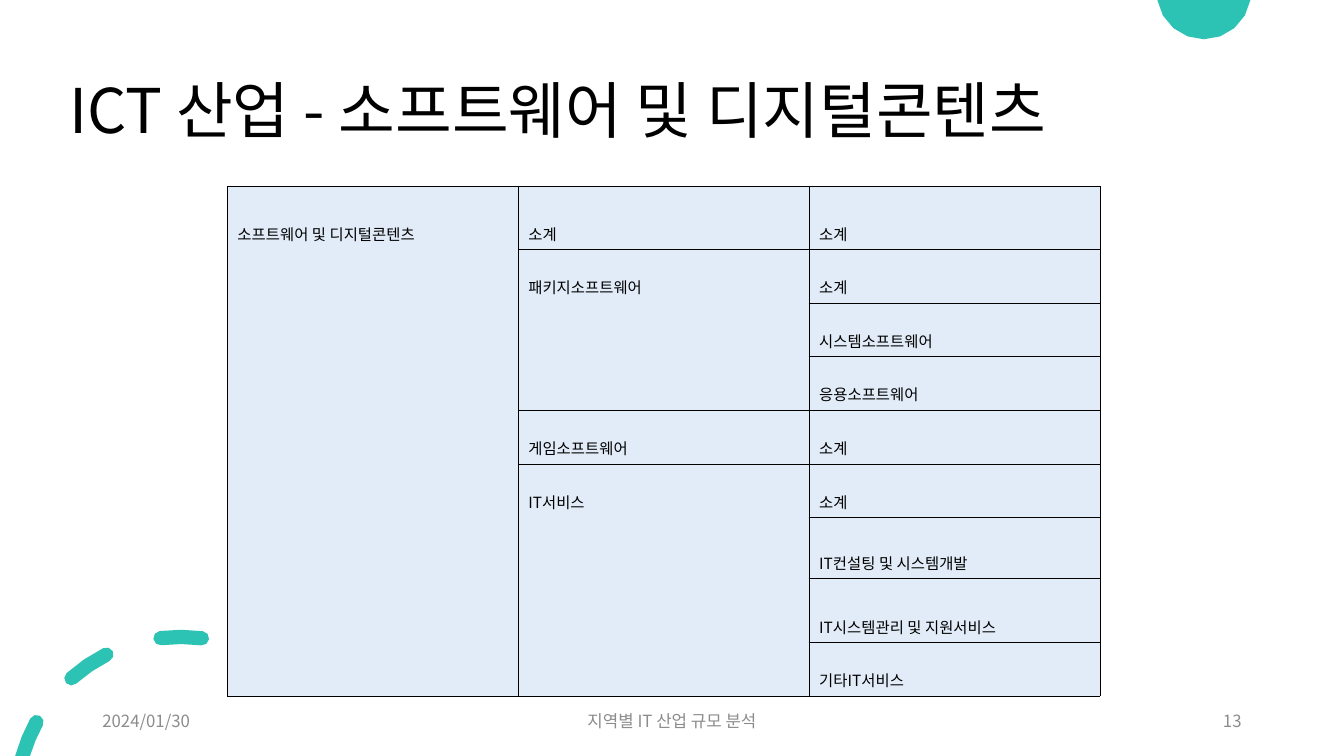
import math
from dataclasses import dataclass

import lxml.etree
import pptx
import pptx.dml.color
import pptx.enum.text
import pptx.oxml.ns
import pptx.util

Cm = pptx.util.Cm
ALIGN = pptx.enum.text.PP_ALIGN
ANCHOR = pptx.enum.text.MSO_ANCHOR
FONT = "Noto Sans CJK KR"
TEAL, BLACK, GRAY, PALE_BLUE = "2CC3B4", "000000", "8C8C8C", "E2ECF8"
SLIDE_WIDTH, SLIDE_HEIGHT = 33.87, 19.05
Point = tuple[float, float]


@dataclass
class Label:
    text: str
    left: float
    top: float
    width: float
    height: float
    size: int
    color: str
    align: ALIGN = ALIGN.LEFT
    spacing: float = 1.0


@dataclass
class Dash:
    start: float
    end: float


@dataclass
class Row:
    height: float
    cells: tuple[str, str, str]


LABELS = [
    Label("ICT 산업 - 소프트웨어 및 디지털콘텐츠", 1.5, 1.02, 29.21, 3.68, 44, BLACK, spacing=0.9),
    Label("2024/01/30", 2.33, 17.65, 7.62, 1.01, 12, GRAY),
    Label("지역별 IT 산업 규모 분석", 11.22, 17.65, 11.43, 1.01, 12, GRAY, ALIGN.CENTER),
    Label("13", 23.92, 17.65, 7.62, 1.01, 12, GRAY, ALIGN.RIGHT),
]
DASHES = [Dash(0, 28.8), Dash(48.4, 63.2), Dash(83, 97.5)]
ROWS = [
    Row(1.59, ("소프트웨어 및 디지털콘텐츠", "소계", "소계")),
    Row(1.35, ("", "패키지소프트웨어", "소계")),
    Row(1.35, ("", "", "시스템소프트웨어")),
    Row(1.35, ("", "", "응용소프트웨어")),
    Row(1.35, ("", "게임소프트웨어", "소계")),
    Row(1.35, ("", "IT서비스", "소계")),
    Row(1.54, ("", "", "IT컨설팅 및 시스템개발")),
    Row(1.61, ("", "", "IT시스템관리 및 지원서비스")),
    Row(1.35, ("", "", "기타IT서비스")),
]


def rgb(color: str) -> pptx.dml.color.RGBColor:
    return pptx.dml.color.RGBColor.from_string(color)


def write_text(frame, text: str, *, size: float, color: str = BLACK, align: ALIGN = ALIGN.LEFT,
               spacing: float = 1.0, kerning: bool = False) -> None:
    paragraph = frame.paragraphs[0]
    paragraph.alignment = align
    paragraph.line_spacing = spacing
    run = paragraph.add_run()
    run.text = text
    run.font.size = pptx.util.Pt(size)
    run.font.name = FONT
    run.font.color.rgb = rgb(color)
    properties = run.font._element
    if kerning:
        properties.set("kern", "1200")
    east_asian = lxml.etree.SubElement(properties, pptx.oxml.ns.qn("a:ea"))
    east_asian.set("typeface", FONT)


def add_label(slide, label: Label) -> None:
    shape = slide.shapes.add_textbox(
        Cm(label.left), Cm(label.top), Cm(label.width), Cm(label.height))
    shape.text_frame.word_wrap = True
    shape.text_frame.vertical_anchor = ANCHOR.MIDDLE
    write_text(shape.text_frame, label.text, size=label.size, color=label.color,
               align=label.align, spacing=label.spacing, kerning=True)


def arc(center: Point, radius: float, start: float, end: float, steps: int) -> list[Point]:
    angles = [math.radians(start + (end - start) * step / steps) for step in range(steps + 1)]
    return [(center[0] - radius * math.cos(angle), center[1] - radius * math.sin(angle))
            for angle in angles]


def dash_outline(dash: Dash, center: Point, radius: float, half_width: float) -> list[Point]:
    def edge(edge_radius: float) -> list[Point]:
        slide_bottom = math.degrees(math.asin((center[1] - SLIDE_HEIGHT) / edge_radius))
        return arc(center, edge_radius, max(dash.start, slide_bottom), dash.end, 2)

    def cap(angle: float, turn: float) -> list[Point]:
        middle = arc(center, radius, angle, angle, 1)[0]
        return arc(middle, half_width, angle + turn, angle + turn + 180, 4)[1:-1]

    outline = edge(radius + half_width) + cap(dash.end, 0) + edge(radius - half_width)[::-1]
    return outline + cap(dash.start, 180) if dash.start > 0 else outline


def add_outlines(slide, outlines: list[list[Point]], color: str) -> None:
    contours = [[(Cm(x), Cm(y)) for x, y in outline] for outline in outlines]
    builder = slide.shapes.build_freeform(*contours[0][0])
    for index, contour in enumerate(contours):
        if index:
            builder.move_to(*contour[0])
        builder.add_line_segments(contour[1:], close=True)
    shape = builder.convert_to_shape()
    shape.shadow.inherit = False
    shape.fill.solid()
    shape.fill.fore_color.rgb = rgb(color)
    shape.line.fill.background()


def set_borders(cell, *, top: bool, bottom: bool) -> None:
    properties = cell._tc.get_or_add_tcPr()
    edges = {"L": True, "R": True, "T": top, "B": bottom}
    for position, (side, visible) in enumerate(edges.items()):
        line = lxml.etree.Element(pptx.oxml.ns.qn(f"a:ln{side}"))
        properties.insert(position, line)
        if visible:
            line.set("w", str(pptx.util.Pt(0.6)))
            fill = lxml.etree.SubElement(line, pptx.oxml.ns.qn("a:solidFill"))
            lxml.etree.SubElement(fill, pptx.oxml.ns.qn("a:srgbClr")).set("val", BLACK)
        else:
            line.set("w", "0")
            lxml.etree.SubElement(line, pptx.oxml.ns.qn("a:noFill"))


def add_industry_table(slide, rows: list[Row], left: float, top: float,
                       column_width: float) -> None:
    columns = len(rows[0].cells)
    height = sum(row.height for row in rows)
    table = slide.shapes.add_table(len(rows), columns, Cm(left), Cm(top),
                                   Cm(column_width * columns), Cm(height)).table
    table.first_row = table.horz_banding = False
    for column in table.columns:
        column.width = Cm(column_width)
    for row_index, row in enumerate(rows):
        table.rows[row_index].height = Cm(row.height)
        for column_index, text in enumerate(row.cells):
            cell = table.cell(row_index, column_index)
            cell.vertical_anchor = ANCHOR.BOTTOM
            cell.fill.solid()
            cell.fill.fore_color.rgb = rgb(PALE_BLUE)
            group_ends = row_index == len(rows) - 1 or bool(rows[row_index + 1].cells[column_index])
            set_borders(cell, top=bool(text), bottom=group_ends)
            if text:
                write_text(cell.text_frame, text, size=11, spacing=1.03)


def main() -> None:
    presentation = pptx.Presentation()
    presentation.slide_width = Cm(SLIDE_WIDTH)
    presentation.slide_height = Cm(SLIDE_HEIGHT)
    slide = presentation.slides.add_slide(presentation.slide_layouts[6])
    add_outlines(slide, [arc((30.34, -0.2), 1.19, -9.7, -170.3, 8)], TEAL)
    add_outlines(slide, [dash_outline(dash, (4.55, 20.19), 4.14, 0.18) for dash in DASHES], TEAL)
    for label in LABELS:
        add_label(slide, label)
    add_industry_table(slide, ROWS, 5.73, 4.7, 7.33)
    presentation.save("out.pptx")


if __name__ == "__main__":
    main()
